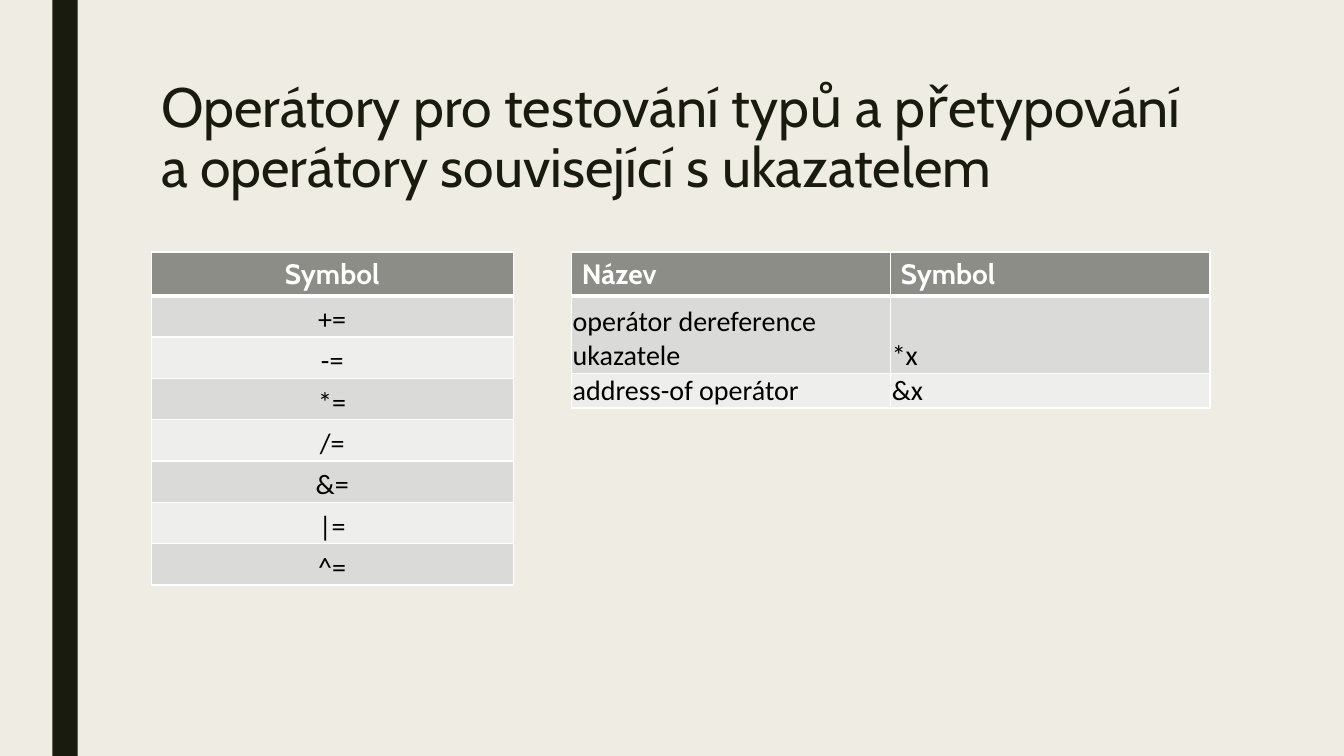
from dataclasses import dataclass

from lxml import etree
from pptx import Presentation
from pptx.dml.color import RGBColor
from pptx.enum import shapes, text
from pptx.oxml import ns
from pptx.util import Inches, Pt

TITLE = "Operátory pro testování typů a přetypování a operátory související s ukazatelem"
ASSIGN = [["Symbol"], ["+="], ["-="], ["*="], ["/="], ["&="], ["|="], ["^="]]
POINTER = [
    ["Název", "Symbol"],
    ["operátor dereference ukazatele", "*x"],
    ["address-of operátor", "&x"],
]


@dataclass(frozen=True)
class Theme:
    back: str = "EFEDE3"
    dark: str = "191B0E"
    head: str = "8C8D86"
    bands: tuple = ("DADBD9", "EEEEED")
    light: str = "FFFFFF"
    ink: str = "000000"
    title: float = 39.6
    body: float = 20
    main: str = "Cabin"
    cell: str = "Calibri"
    thin: float = 1
    thick: float = 3


T = Theme()
WIDTH, HEIGHT = 13.33, 7.5
LEFT, RIGHT = 1.5, 12
TOP = HEIGHT / 3
LIST_W, PAIR_W = 3.59, 6.33


def rgb(code):
    return RGBColor.from_string(code)


def paint(fill, code):
    fill.solid()
    fill.fore_color.rgb = rgb(code)


def style(font, name, size, code, bold=False):
    font.name, font.size, font.bold = name, Pt(size), bold
    font.color.rgb = rgb(code)


def border(cell, row):
    """Rule all four sides, with a thick rule under the header."""
    props = cell._tc.get_or_add_tcPr()
    heavy = {(0, "B"), (1, "T")}
    for side in "LRTB":
        size = T.thick if (row, side) in heavy else T.thin
        line = etree.SubElement(props, ns.qn(f"a:ln{side}"), w=str(Pt(size)))
        solid = etree.SubElement(line, ns.qn("a:solidFill"))
        etree.SubElement(solid, ns.qn("a:srgbClr"), val=T.light)


def grid(slide, rows, left, width, heights, align):
    cols = len(rows[0])
    table = slide.shapes.add_table(
        len(rows), cols, Inches(left), Inches(TOP),
        Inches(width), Inches(sum(heights))).table
    for col in table.columns:
        col.width = Inches(width / cols)
    for r, row in enumerate(rows):
        table.rows[r].height = Inches(heights[r])
        for c, word in enumerate(row):
            cell = table.cell(r, c)
            cell.text = word
            para = cell.text_frame.paragraphs[0]
            para.alignment = align
            border(cell, r)
            if r == 0:
                paint(cell.fill, T.head)
                style(para.font, T.main, T.body, T.light, True)
            else:
                paint(cell.fill, T.bands[(r - 1) % 2])
                style(para.font, T.cell, T.body, T.ink)
                cell.vertical_anchor = text.MSO_ANCHOR.BOTTOM
                cell.margin_left = cell.margin_right = Inches(0.01)
                cell.margin_top, cell.margin_bottom = Inches(0.01), 0


def main():
    deck = Presentation()
    deck.slide_width, deck.slide_height = Inches(WIDTH), Inches(HEIGHT)
    slide = deck.slides.add_slide(deck.slide_layouts[6])
    paint(slide.background.fill, T.back)

    bar = slide.shapes.add_shape(
        shapes.MSO_SHAPE.RECTANGLE, Inches(0.52), 0, Inches(0.25), Inches(HEIGHT))
    bar.shadow.inherit = False
    paint(bar.fill, T.dark)
    bar.line.fill.background()

    box = slide.shapes.add_textbox(
        Inches(LEFT), Inches(HEIGHT / 10), Inches(RIGHT - LEFT), Inches(1.62))
    frame = box.text_frame
    frame.word_wrap = True
    frame.text = TITLE
    para = frame.paragraphs[0]
    para.line_spacing = 0.89
    style(para.font, T.main, T.title, T.dark)

    grid(slide, POINTER, RIGHT - PAIR_W, PAIR_W, [0.33, 0.77, 0.31],
         text.PP_ALIGN.LEFT)
    grid(slide, ASSIGN, LEFT, LIST_W, [0.41] * len(ASSIGN),
         text.PP_ALIGN.CENTER)
    deck.save("out.pptx")


if __name__ == "__main__":
    main()
